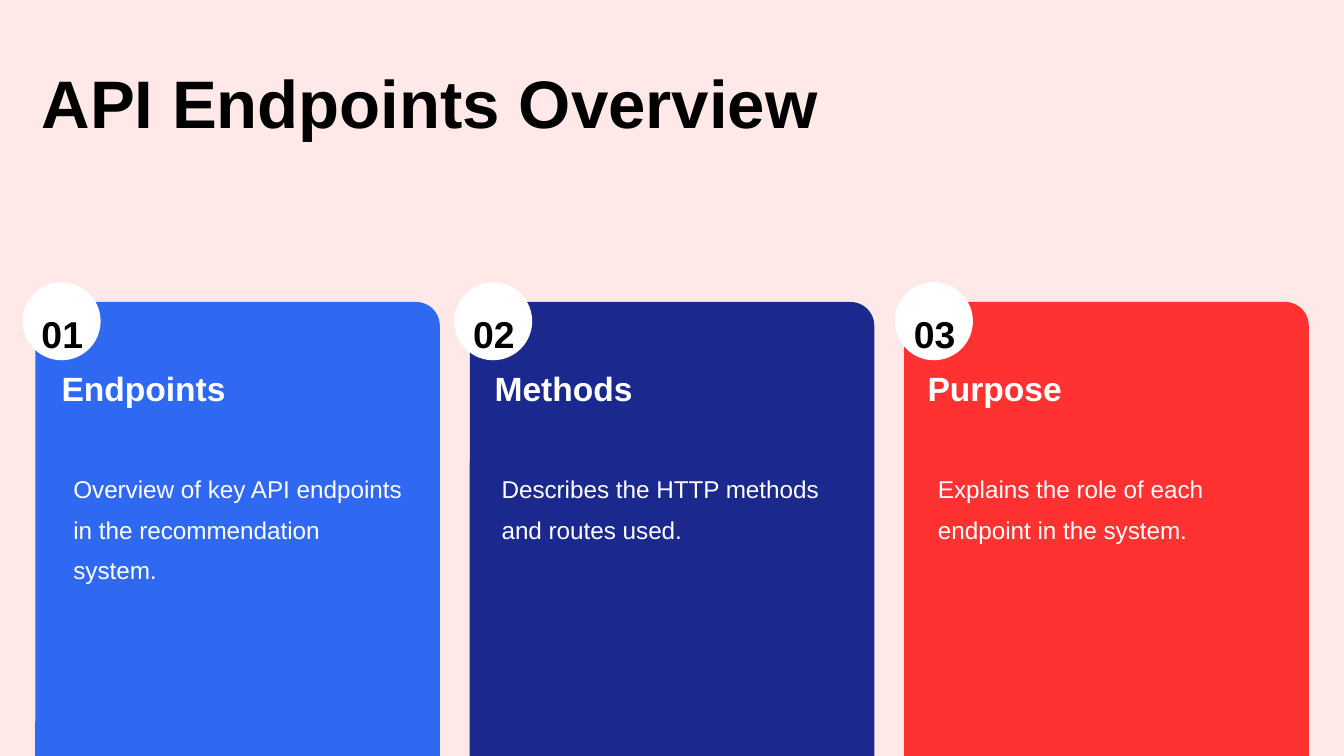
from pptx import Presentation
from pptx.dml.color import RGBColor
from pptx.enum.shapes import MSO_SHAPE
from pptx.enum.text import PP_ALIGN
from pptx.util import Pt

ROUNDED = MSO_SHAPE.ROUNDED_RECTANGLE
OVAL = MSO_SHAPE.OVAL
LEFT = PP_ALIGN.LEFT
CENTER = PP_ALIGN.CENTER

COLORS = {
    "background": "FFE8E8",
    "blue": "2F69F1",
    "navy": "1B288E",
    "red": "FF3131",
    "white": "FFFFFF",
    "black": "000000",
}

FORMATS = {
    "title": {"size": 36, "bold": True, "color": "black", "spacing": 1.15, "align": LEFT},
    "heading": {"size": 18, "bold": True, "color": "white", "spacing": 1.15, "align": LEFT},
    "body": {"size": 13, "bold": False, "color": "white", "spacing": 1.4, "align": LEFT},
    "number": {"size": 20, "bold": True, "color": "black", "spacing": 1.4, "align": CENTER},
}

CARD_LEFT, CARD_TOP, CARD_PITCH = 18.9, 161.8, 232.75
CARD_WIDTH, CARD_HEIGHT, CARD_RADIUS = 216.7, 282.6, 12.7
BADGE_TOP, BADGE_SIZE = 151.2, 41.8

CARDS = [
    {"color": "blue", "badge": 12.1, "heading_left": 33, "body_left": 39.3, "body_width": 178,
     "heading": "Endpoints",
     "body": "Overview of key API endpoints in the recommendation system."},
    {"color": "navy", "badge": 243.3, "heading_left": 265, "body_left": 268.7, "body_width": 183.6,
     "heading": "Methods",
     "body": "Describes the HTTP methods and routes used."},
    {"color": "red", "badge": 479.4, "heading_left": 496.9, "body_left": 502.5, "body_width": 183.6,
     "heading": "Purpose",
     "body": "Explains the role of each endpoint in the system."},
]


def rgb(name):
    """Return the named colour."""
    return RGBColor.from_string(COLORS[name])


def add_filled_shape(slide, kind, box, color):
    """Add a plain filled shape without outline or shadow."""
    shape = slide.shapes.add_shape(kind, *map(Pt, box))
    shape.shadow.inherit = False
    shape.fill.solid()
    shape.fill.fore_color.rgb = rgb(color)
    shape.line.fill.background()
    return shape


def add_text(slide, box, text, style):
    """Add a text box without margins in one of the text formats."""
    values = FORMATS[style]
    frame = slide.shapes.add_textbox(*map(Pt, box)).text_frame
    frame.word_wrap = True
    for side in ("left", "top", "right", "bottom"):
        setattr(frame, f"margin_{side}", 0)
    paragraph = frame.paragraphs[0]
    paragraph.alignment = values["align"]
    paragraph.line_spacing = values["spacing"]
    run = paragraph.add_run()
    run.text = text
    font_values = {"name": "Arial", "size": Pt(values["size"]), "bold": values["bold"]}
    for attribute, value in font_values.items():
        setattr(run.font, attribute, value)
    run.font.color.rgb = rgb(values["color"])


def add_card(slide, index, card):
    """Add one card with its numbered badge, heading and body."""
    left = CARD_LEFT + index * CARD_PITCH
    panel = add_filled_shape(
        slide, ROUNDED, (left, CARD_TOP, CARD_WIDTH, CARD_HEIGHT), card["color"])
    panel.adjustments[0] = CARD_RADIUS / CARD_WIDTH
    add_filled_shape(slide, OVAL, (card["badge"], BADGE_TOP, BADGE_SIZE, BADGE_SIZE), "white")
    add_text(slide, (card["badge"], 157, 42.5, 31), f"{index + 1:02d}", "number")
    add_text(slide, (card["heading_left"], 193.7, 199.4, 21.6), card["heading"], "heading")
    add_text(slide, (card["body_left"], 247.7, card["body_width"], 15.8), card["body"], "body")


def main():
    """Build and save the slide."""
    presentation = Presentation()
    presentation.slide_width = Pt(720)
    presentation.slide_height = Pt(405)
    slide = presentation.slides.add_slide(presentation.slide_layouts[6])
    slide.background.fill.solid()
    slide.background.fill.fore_color.rgb = rgb("background")
    add_text(slide, (22.3, 26.6, 675.4, 43.9), "API Endpoints Overview", "title")
    for index, card in enumerate(CARDS):
        add_card(slide, index, card)
    presentation.save("out.pptx")


if __name__ == "__main__":
    main()
